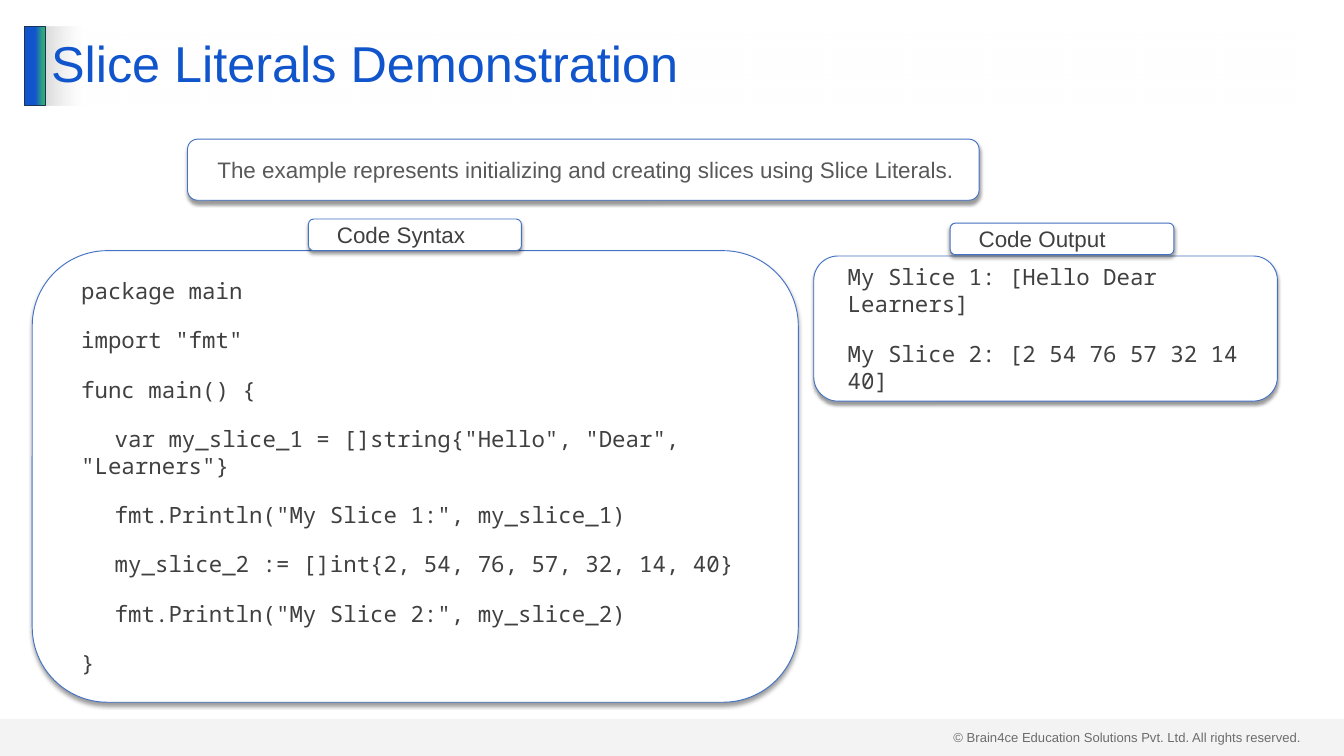
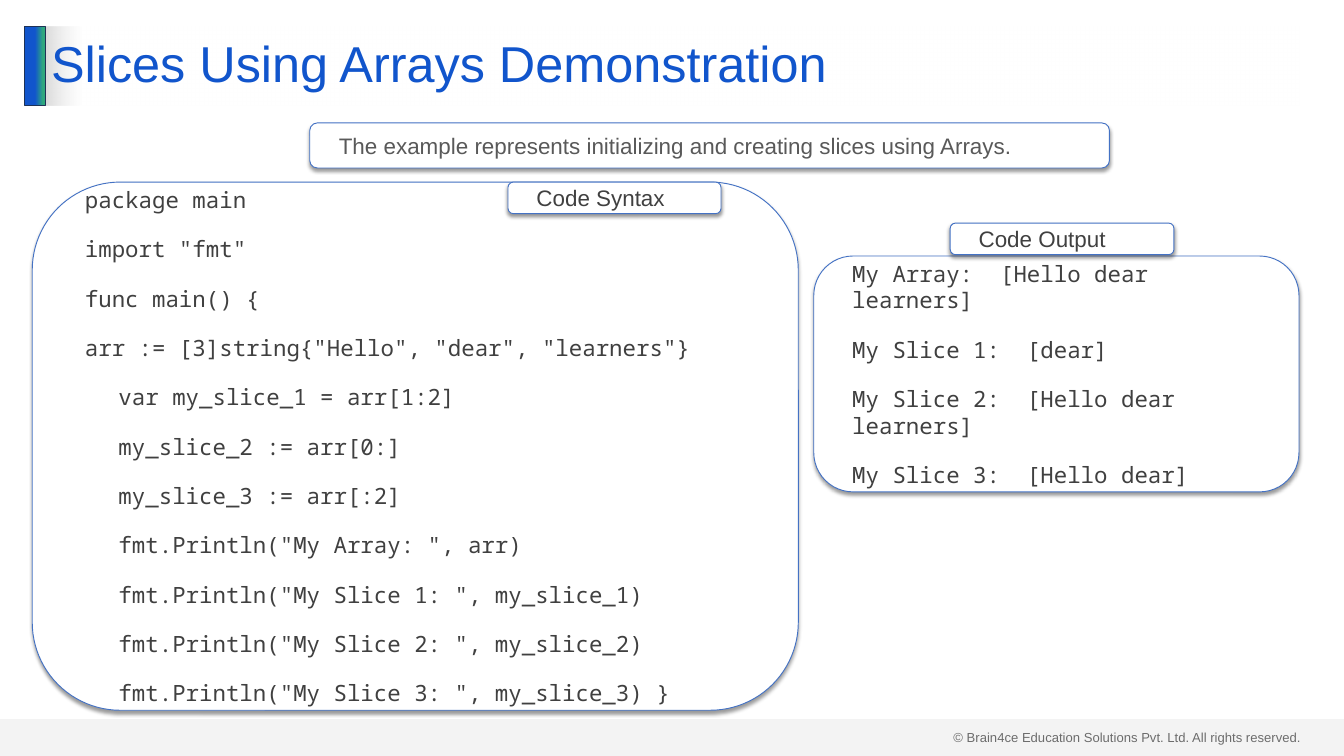
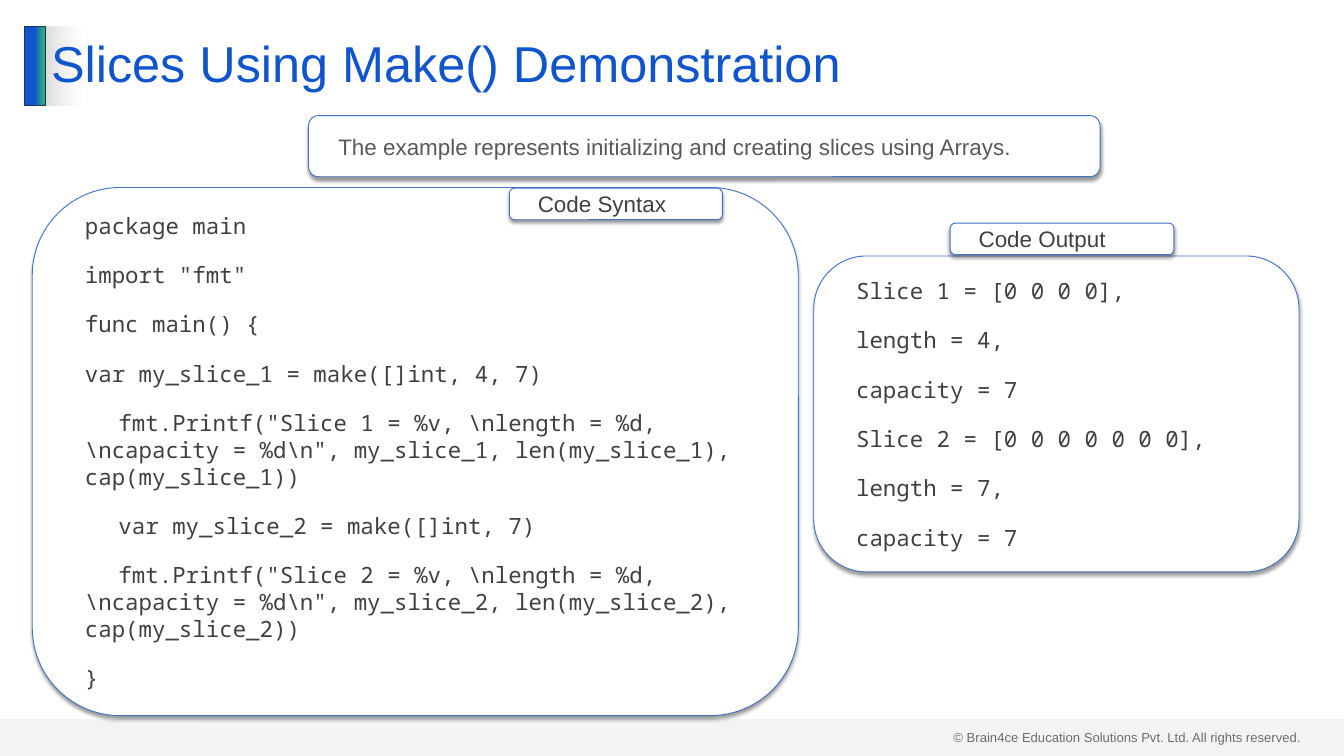
import lxml.etree
import pptx
import pptx.dml.color
import pptx.enum.shapes
import pptx.enum.text
import pptx.oxml.ns
import pptx.util

Inches, Pt = pptx.util.Inches, pptx.util.Pt
qn = pptx.oxml.ns.qn
Preset = pptx.enum.shapes.MSO_SHAPE
Anchor = pptx.enum.text.MSO_ANCHOR
AutoSize = pptx.enum.text.MSO_AUTO_SIZE
LEFT = pptx.enum.text.PP_ALIGN.LEFT

COLORS = {
    "title": "1155CC", "green": "2EA87D", "navy": "1E3256", "outline": "4472C4",
    "grey": "D9D9D9", "white": "FFFFFF", "black": "000000",
    "text": "404040", "muted": "595959",
}
TITLE_BOX = (0.66, 0.39, 18.67, 1.18)
OUTPUT_LABEL_BOX = (14.14, 3.32, 3.33, 0.47)
LABEL_SIZE = (3.17, 0.47)
COPYRIGHT = "© Brain4ce Education Solutions Pvt. Ltd. All rights reserved."

DEMONSTRATIONS = [
    {
        "title": "Slice Literals Demonstration",
        "summary": "The example represents initializing and creating slices using Slice Literals.",
        "summary_box": (2.79, 2.07, 11.78, 0.91),
        "label_at": (4.59, 3.26),
        "code_box": (0.48, 3.73, 11.4, 6.72),
        "code": [
            'package main',
            'import "fmt"',
            'func main() {',
            '\tvar my_slice_1 = []string{"Hello", "Dear", "Learners"}',
            '\tfmt.Println("My Slice 1:", my_slice_1)',
            '\tmy_slice_2 := []int{2, 54, 76, 57, 32, 14, 40}',
            '\tfmt.Println("My Slice 2:", my_slice_2)',
            '}',
        ],
        "output_box": (12.11, 3.81, 6.9, 2.16),
        "output": [
            "My Slice 1: [Hello Dear Learners]",
            "My Slice 2: [2 54 76 57 32 14 40]",
        ],
    },
    {
        "title": "Slices Using Arrays Demonstration",
        "summary": "The example represents initializing and creating slices using Arrays.",
        "summary_box": (4.61, 1.83, 11.9, 0.67),
        "label_at": (7.56, 2.71),
        "code_box": (0.48, 2.71, 11.4, 7.86),
        "code": [
            'package main',
            'import "fmt"',
            'func main() {',
            'arr := [3]string{"Hello", "dear", "learners"}',
            '\tvar my_slice_1 = arr[1:2]',
            '\tmy_slice_2 := arr[0:]',
            '\tmy_slice_3 := arr[:2]',
            '\tfmt.Println("My Array: ", arr)',
            '\tfmt.Println("My Slice 1: ", my_slice_1)',
            '\tfmt.Println("My Slice 2: ", my_slice_2)',
            '\tfmt.Println("My Slice 3: ", my_slice_3) }',
        ],
        "output_box": (12.11, 3.81, 7.22, 3.51),
        "output": [
            "My Array:  [Hello dear learners]",
            "My Slice 1:  [dear]",
            "My Slice 2:  [Hello dear learners]",
            "My Slice 3:  [Hello dear]",
        ],
    },
    {
        "title": "Slices Using Make() Demonstration",
        "summary": "The example represents initializing and creating slices using Arrays.",
        "summary_box": (4.59, 1.72, 11.78, 0.91),
        "label_at": (7.58, 2.8),
        "code_box": (0.48, 2.79, 11.4, 7.86),
        "code": [
            'package main',
            'import "fmt"',
            'func main() {',
            'var my_slice_1 = make([]int, 4, 7)',
            '\tfmt.Printf("Slice 1 = %v, \\nlength = %d, \\ncapacity = %d\\n", '
            'my_slice_1, len(my_slice_1), cap(my_slice_1))',
            '\tvar my_slice_2 = make([]int, 7)',
            '\tfmt.Printf("Slice 2 = %v, \\nlength = %d, \\ncapacity = %d\\n", '
            'my_slice_2, len(my_slice_2), cap(my_slice_2))',
            '}',
        ],
        "output_box": (12.11, 3.81, 7.22, 4.7),
        "output": [
            "Slice 1 = [0 0 0 0],", "length = 4,", "capacity = 7",
            "Slice 2 = [0 0 0 0 0 0 0],", "length = 7,", "capacity = 7",
        ],
    },
]


def rgb(name):
    return pptx.dml.color.RGBColor.from_string(COLORS[name])


def assign(target, values):
    for name, value in values.items():
        setattr(target, name, value)


def add_color(parent, name, alpha=100):
    """Append a colour element, see-through when alpha is below 100 percent."""
    color = lxml.etree.SubElement(parent, qn("a:srgbClr"), val=COLORS[name])
    if alpha < 100:
        lxml.etree.SubElement(color, qn("a:alpha"), val=str(alpha * 1000))


def fill_gradient(shape, stops):
    """Fill from left to right with (percent, colour, alpha) stops."""
    shape.fill.gradient()
    shape.fill.gradient_angle = 0
    stop_list = shape.element.spPr.find(".//" + qn("a:gsLst"))
    for stop in list(stop_list):
        stop_list.remove(stop)
    for percent, color, alpha in stops:
        stop = lxml.etree.SubElement(stop_list, qn("a:gs"), pos=str(percent * 1000))
        add_color(stop, color, alpha)


class Deck:
    """Holds the presentation, its style and the current slide."""

    def __init__(self):
        self.presentation = pptx.Presentation()
        self.presentation.slide_width = Inches(20)
        self.presentation.slide_height = Inches(11.25)
        self.slide = None

    def add_text(self, paragraph, text, font="Arial", size=24, color="text"):
        run = paragraph.add_run()
        run.text = text
        assign(run.font, {"name": font, "size": Pt(size)})
        run.font.color.rgb = rgb(color)

    def shape(self, preset, box, line=None):
        shape = self.slide.shapes.add_shape(preset, *map(Inches, box))
        shape.shadow.inherit = False
        if line:
            shape.line.color.rgb = rgb(line)
            shape.line.width = Pt(1)
        else:
            shape.line.fill.background()
        return shape

    def title(self, text):
        title = self.slide.shapes.title
        edges = zip(("left", "top", "width", "height"), map(Inches, TITLE_BOX))
        assign(title, dict(edges))
        fill_gradient(title, [(0, "grey", 100), (3, "white", 50)])
        assign(title.text_frame, {"vertical_anchor": Anchor.MIDDLE,
                                  "auto_size": AutoSize.NONE, "word_wrap": True})
        paragraph = title.text_frame.paragraphs[0]
        assign(paragraph, {"alignment": LEFT, "line_spacing": 0.9})
        self.add_text(paragraph, text, size=54, color="title")

    def footer(self):
        box = self.slide.shapes.add_textbox(*map(Inches, (14.09, 10.8, 5.41, 0.34)))
        box.text_frame.auto_size = AutoSize.SHAPE_TO_FIT_TEXT
        self.add_text(box.text_frame.paragraphs[0], COPYRIGHT, size=14)
        band = self.shape(Preset.RECTANGLE, (0, 10.7, 20, 0.55))
        band.fill.solid()
        band.fill.fore_color.rgb = rgb("grey")
        color = band.element.spPr.find(qn("a:solidFill")).find(qn("a:srgbClr"))
        lxml.etree.SubElement(color, qn("a:alpha"), val="29000")

    def accent(self):
        bar = self.shape(Preset.RECTANGLE, (0.37, 0.39, 0.3, 1.18), line="navy")
        fill_gradient(bar, [(51, "title", 100), (90, "green", 100), (100, "green", 100)])

    def card(self, box, lines, **font):
        """Add a white rounded box with a soft shadow and one paragraph a line."""
        card = self.shape(Preset.ROUNDED_RECTANGLE, box, line="outline")
        card.fill.solid()
        card.fill.fore_color.rgb = rgb("white")
        shadow = lxml.etree.SubElement(
            card.element.spPr.find(qn("a:effectLst")), qn("a:outerShdw"),
            blurRad=str(Pt(4)), dist=str(Pt(3)), dir="5400000", rotWithShape="0")
        add_color(shadow, "black", 40)
        frame = card.text_frame
        assign(frame, {"margin_left": Inches(0.2), "margin_right": Inches(0.2),
                       "margin_top": Inches(0.1), "margin_bottom": Inches(0.1),
                       "vertical_anchor": Anchor.MIDDLE, "word_wrap": True})
        for index, line in enumerate(lines):
            paragraph = frame.add_paragraph() if index else frame.paragraphs[0]
            assign(paragraph, {"level": 1, "alignment": LEFT,
                               "space_before": Pt(24 if index else 0)})
            properties = paragraph._p.get_or_add_pPr()
            properties.set("marL", str(Inches(0.2)))
            properties.set("indent", "0")
            self.add_text(paragraph, line, **font)

    def demonstration(self, content):
        layout = self.presentation.slide_layouts.get_by_name("Title Only")
        self.slide = self.presentation.slides.add_slide(layout)
        self.footer()
        self.accent()
        self.title(content["title"])
        self.card(content["code_box"], content["code"], font="Noto Sans Mono")
        self.card(content["output_box"], content["output"], font="Noto Sans Mono")
        self.card(content["label_at"] + LABEL_SIZE, ["Code Syntax"])
        self.card(OUTPUT_LABEL_BOX, ["Code Output"])
        self.card(content["summary_box"], [content["summary"]], color="muted")


def main():
    deck = Deck()
    for content in DEMONSTRATIONS:
        deck.demonstration(content)
    deck.presentation.save("out.pptx")


if __name__ == "__main__":
    main()
